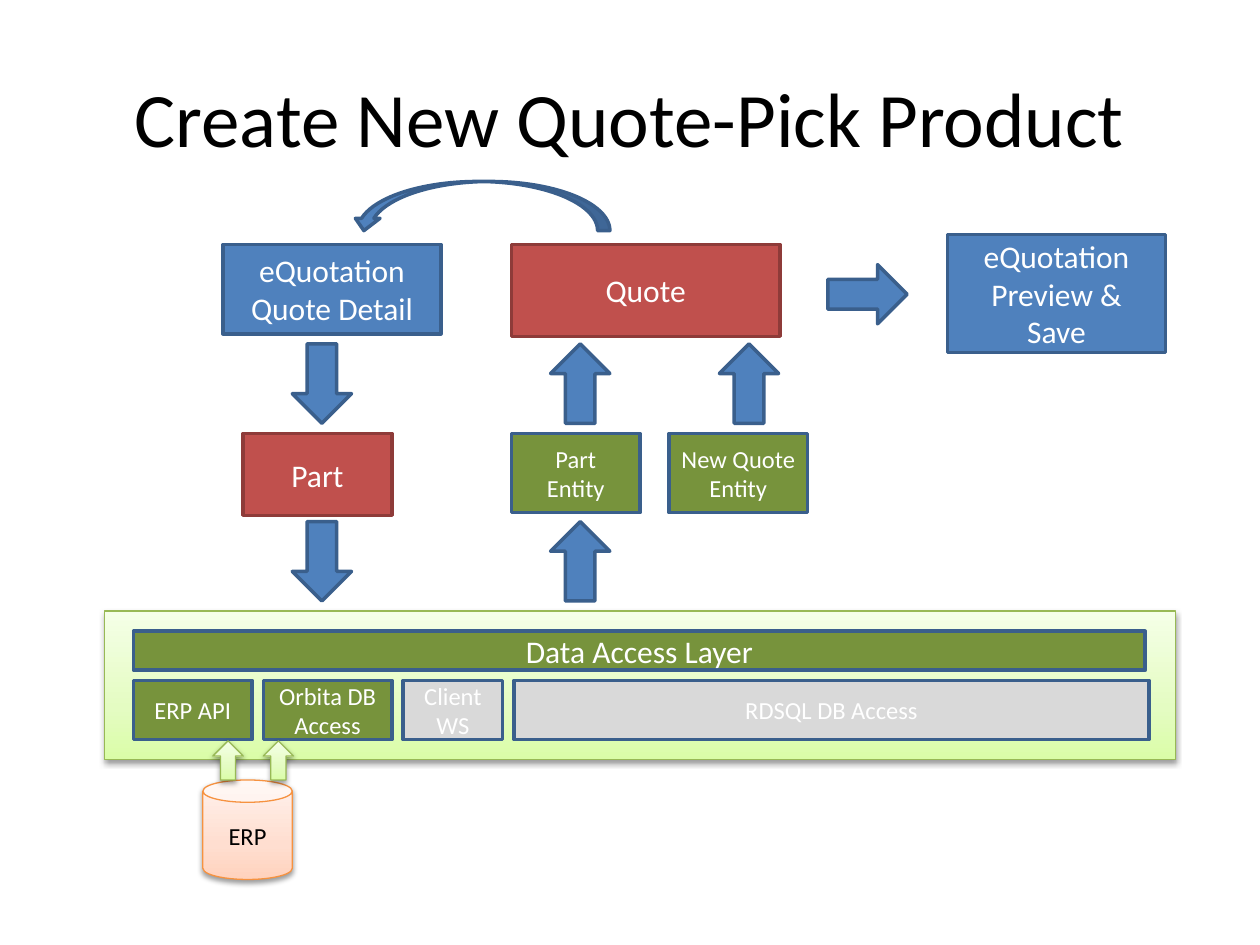
"""Build the Create New Quote-Pick Product architecture slide."""
from copy import deepcopy
from lxml.etree import SubElement
from pptx import Presentation
from pptx.dml.color import RGBColor
from pptx.enum.shapes import MSO_SHAPE
from pptx.enum.text import MSO_ANCHOR, PP_ALIGN
from pptx.oxml.ns import qn
from pptx.util import Inches, Pt

TITLE = "Create New Quote-Pick Product"
COLORS = {
    "blue": "4F81BD", "blue_line": "3A5F8C", "red": "C0504D", "red_line": "8E3B39",
    "green": "77933C", "gray": "D9D9D9", "lime_line": "98B955", "peach_line": "F69240",
    "white": "FFFFFF", "black": "000000",
}
GRADIENTS = {
    "lime": [(0, "DAFDA7"), (0.35, "E4FCC2"), (1, "F5FFE7")],
    "peach": [(0, "FFD2BD"), (0.35, "FFDED0"), (1, "FFF2ED")],
}
PANEL = (0.83, 4.85, 8.5, 1.18)
DATABASE = (1.61, 6.19, 0.71, 0.79)

SCREENS = [
    ("eQuotation\nQuote Detail", "blue", (1.77, 1.94, 1.73, 0.71)),
    ("Quote", "red", (4.06, 1.94, 2.13, 0.73)),
    ("eQuotation\nPreview & Save", "blue", (7.52, 1.86, 1.73, 0.94)),
    ("Part", "red", (1.93, 3.44, 1.18, 0.65)),
    ("Data Access Layer", "green", (1.06, 5.01, 8.03, 0.31)),
]
ENTITIES = [
    ("Part\nEntity", 4.06, 1.02),
    ("New Quote\nEntity", 5.31, 1.1),
]
SOURCES = [
    ("ERP API", "green", 0.94),
    ("Orbita DB\nAccess", "green", 1.02),
    ("Client\nWS", "gray", 0.79),
    ("RDSQL DB Access", "gray", 5.04),
]
SOURCE_LEFT, SOURCE_TOP, SOURCE_HEIGHT, SOURCE_GAP = 1.06, 5.4, 0.47, 0.09

ARROW_SIZE = (0.47, 0.63)
UPPER_ROW, LOWER_ROW = 2.73, 4.14
ARROWS = [
    (MSO_SHAPE.DOWN_ARROW, 2.32, UPPER_ROW, 0),
    (MSO_SHAPE.DOWN_ARROW, 2.32, LOWER_ROW, 0),
    (MSO_SHAPE.UP_ARROW, 4.37, LOWER_ROW, 0),
    (MSO_SHAPE.UP_ARROW, 4.37, UPPER_ROW, 0),
    (MSO_SHAPE.UP_ARROW, 5.71, UPPER_ROW, 0),
    (MSO_SHAPE.DOWN_ARROW, 6.65, 2.02, 270),
]
DATABASE_ARROWS = [1.69, 2.09]


def rgb(name):
    return RGBColor.from_string(COLORS[name])


def write(sp, text, size=18, color="white"):
    tf = sp.text_frame
    tf.word_wrap = True
    tf.vertical_anchor = MSO_ANCHOR.MIDDLE
    for i, line in enumerate(text.split("\n")):
        p = tf.paragraphs[0] if i == 0 else tf.add_paragraph()
        p.alignment = PP_ALIGN.CENTER
        r = p.add_run()
        r.text = line
        r.font.name = "Calibri"
        r.font.size = Pt(size)
        r.font.color.rgb = rgb(color)


def add_shape(slide, kind, box, line, width=2, rotation=0):
    sp = slide.shapes.add_shape(kind, *map(Inches, box))
    sp.rotation = rotation
    sp.shadow.inherit = False
    sp.line.color.rgb = rgb(line)
    sp.line.width = Pt(width)
    return sp


def add_solid(slide, kind, box, fill="blue", rotation=0):
    line = "red_line" if fill == "red" else "blue_line"
    sp = add_shape(slide, kind, box, line, rotation=rotation)
    sp.fill.solid()
    sp.fill.fore_color.rgb = rgb(fill)
    return sp


def add_glossy(slide, kind, box, tint):
    sp = add_shape(slide, kind, box, f"{tint}_line", width=0.75)
    sp.fill.gradient()
    sp.fill.gradient_angle = 90
    spPr = sp._element.spPr
    stops = spPr.find(".//" + qn("a:gsLst"))
    stops.append(deepcopy(stops[0]))
    for stop, (position, color) in zip(sp.fill.gradient_stops, GRADIENTS[tint]):
        stop.position = position
        stop.color.rgb = RGBColor.from_string(color)
    shadow = SubElement(spPr.find(qn("a:effectLst")), qn("a:outerShdw"),
                        blurRad=str(Pt(3.1)), dist=str(Pt(1.6)),
                        dir="5400000", rotWithShape="0")
    color = SubElement(shadow, qn("a:srgbClr"), val=COLORS["black"])
    SubElement(color, qn("a:alpha"), val="38000")
    return sp


def main():
    prs = Presentation()
    prs.slide_width, prs.slide_height = Inches(10), Inches(7.5)
    slide = prs.slides.add_slide(prs.slide_layouts[6])

    title = slide.shapes.add_textbox(*map(Inches, (0.5, 0.3, 9, 1.25)))
    write(title, TITLE, size=44, color="black")

    add_glossy(slide, MSO_SHAPE.RECTANGLE, PANEL, "lime")
    for text, fill, box in SCREENS:
        write(add_solid(slide, MSO_SHAPE.RECTANGLE, box, fill), text)
    for text, left, width in ENTITIES:
        box = (left, 3.44, width, 0.63)
        write(add_solid(slide, MSO_SHAPE.RECTANGLE, box, "green"), text, size=14)

    left = SOURCE_LEFT
    for text, fill, width in SOURCES:
        box = (left, SOURCE_TOP, width, SOURCE_HEIGHT)
        write(add_solid(slide, MSO_SHAPE.RECTANGLE, box, fill), text, size=14)
        left += width + SOURCE_GAP

    for kind, x, y, rotation in ARROWS:
        add_solid(slide, kind, (x, y, *ARROW_SIZE), rotation=rotation)
    add_solid(slide, MSO_SHAPE.CURVED_RIGHT_ARROW, (3.62, 0.61, 0.39, 2.05), rotation=90)

    database = add_glossy(slide, MSO_SHAPE.CAN, DATABASE, "peach")
    write(database, "ERP", size=14, color="black")
    for x in DATABASE_ARROWS:
        add_glossy(slide, MSO_SHAPE.UP_ARROW, (x, 5.88, 0.24, 0.31), "lime")

    prs.save("out.pptx")


if __name__ == "__main__":
    main()
